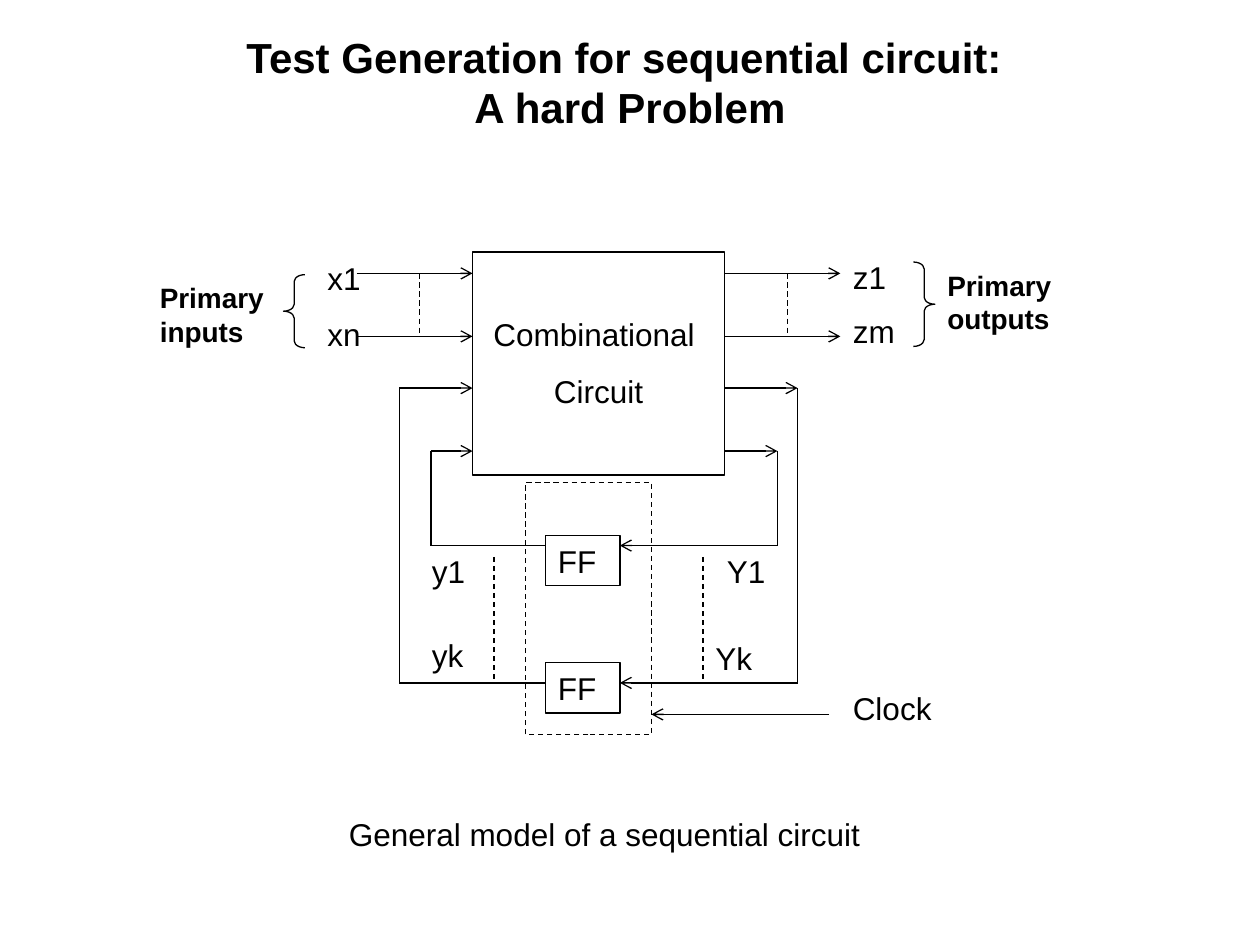
from dataclasses import dataclass

from lxml.etree import SubElement
from pptx import Presentation
from pptx.dml.color import RGBColor
from pptx.enum.dml import MSO_LINE
from pptx.enum.shapes import MSO_CONNECTOR, MSO_SHAPE
from pptx.enum.text import MSO_ANCHOR, MSO_AUTO_SIZE, PP_ALIGN
from pptx.oxml.ns import qn
from pptx.util import Inches, Pt

COLORS = {"ink": "000000"}
INK = RGBColor.from_string(COLORS["ink"])
BODY = {"name": "Arial", "size": Pt(18), "bold": False}
GROUP = {"name": "Arial", "size": Pt(16), "bold": True}
TITLE = {"name": "Arial", "size": Pt(24), "bold": True}
FRAME = {"word_wrap": True, "auto_size": MSO_AUTO_SIZE.NONE, "vertical_anchor": MSO_ANCHOR.TOP}

CIRCUIT_LEFT, CIRCUIT_RIGHT = 3.75, 5.75
FF_LEFT, FF_RIGHT = 4.33, 4.92
PORT_YS = (2.17, 2.67)


@dataclass
class Box:
    left: float
    top: float
    width: float
    height: float

    def emu(self) -> tuple:
        return tuple(Inches(v) for v in (self.left, self.top, self.width, self.height))


@dataclass
class Label:
    text: str
    box: Box
    fmt: dict


@dataclass
class Loop:
    left: float
    right: float
    port_y: float
    ff_y: float


LABELS = [
    Label("General model of a sequential circuit", Box(2.67, 6.42, 4.58, 0.4), BODY),
    Label("Clock", Box(6.67, 5.42, 1.5, 0.4), BODY),
    Label("x1", Box(2.5, 2.01, 0.5, 0.4), BODY),
    Label("xn", Box(2.5, 2.45, 0.5, 0.4), BODY),
    Label("z1", Box(6.67, 2, 0.5, 0.4), BODY),
    Label("zm", Box(6.67, 2.43, 0.75, 0.4), BODY),
    Label("Y1", Box(5.67, 4.33, 0.75, 0.4), BODY),
    Label("Yk", Box(5.58, 5.02, 0.5, 0.4), BODY),
    Label("y1", Box(3.33, 4.33, 0.75, 0.4), BODY),
    Label("yk", Box(3.33, 5, 0.5, 0.4), BODY),
    Label("Primary inputs", Box(1.17, 2.18, 1.17, 0.64), GROUP),
    Label("Primary outputs", Box(7.42, 2.08, 1.17, 0.64), GROUP),
]
LOOPS = [Loop(3.17, 6.33, 3.08, 5.42), Loop(3.42, 6.17, 3.58, 4.33)]


def write(tf, lines: list, fmt: dict, align=PP_ALIGN.LEFT, gap: float = 0) -> None:
    for name, value in FRAME.items():
        setattr(tf, name, value)
    for i, line in enumerate(lines):
        p = tf.paragraphs[0] if i == 0 else tf.add_paragraph()
        p.text = line
        p.alignment = align
        p.space_before = Pt(gap if i else 0)
        for r in p.runs:
            r.font.color.rgb = INK
            for name, value in fmt.items():
                setattr(r.font, name, value)


def style_line(ln, dashed: bool = False) -> None:
    ln.width = Pt(0.75)
    ln.color.rgb = INK
    if dashed:
        ln.dash_style = MSO_LINE.DASH


def outline(s, kind, box: Box, dashed: bool = False):
    sp = s.shapes.add_shape(kind, *box.emu())
    sp.shadow.inherit = False
    sp.fill.background()
    style_line(sp.line, dashed)
    return sp


def wire(s, x1: float, y1: float, x2: float, y2: float, arrow: bool = False, dashed: bool = False) -> None:
    ends = (Inches(v) for v in (x1, y1, x2, y2))
    sp = s.shapes.add_connector(MSO_CONNECTOR.STRAIGHT, *ends)
    style_line(sp.line, dashed)
    if arrow:
        SubElement(sp.line._get_or_add_ln(), qn("a:tailEnd"), type="arrow")
    SubElement(sp._element.spPr, qn("a:effectLst"))


def draw_loop(s, loop: Loop) -> None:
    wire(s, CIRCUIT_RIGHT, loop.port_y, loop.right, loop.port_y, arrow=True)
    wire(s, loop.right, loop.port_y, loop.right, loop.ff_y)
    wire(s, loop.right, loop.ff_y, FF_RIGHT, loop.ff_y, arrow=True)
    wire(s, FF_LEFT, loop.ff_y, loop.left, loop.ff_y)
    wire(s, loop.left, loop.port_y, loop.left, loop.ff_y)
    wire(s, loop.left, loop.port_y, CIRCUIT_LEFT, loop.port_y, arrow=True)


def main() -> None:
    prs = Presentation()
    prs.slide_width, prs.slide_height = Inches(10), Inches(7.5)
    s = prs.slides.add_slide(prs.slide_layouts[5])

    title = s.shapes.title
    title.left, title.top, title.width, title.height = Box(0.5, 0.3, 9, 0.7).emu()
    write(title.text_frame, ["Test Generation for sequential circuit: \vA hard Problem"], TITLE, PP_ALIGN.CENTER)
    title.text_frame.vertical_anchor = MSO_ANCHOR.MIDDLE

    circuit = outline(s, MSO_SHAPE.RECTANGLE, Box(CIRCUIT_LEFT, 2, CIRCUIT_RIGHT - CIRCUIT_LEFT, 1.77))
    write(circuit.text_frame, ["Combinational ", "Circuit"], BODY, PP_ALIGN.CENTER, gap=11.2)
    circuit.text_frame.margin_top = Inches(0.5)

    for y in PORT_YS:
        wire(s, 2.83, y, CIRCUIT_LEFT, y, arrow=True)
        wire(s, CIRCUIT_RIGHT, y, 6.67, y, arrow=True)
    for x in (3.33, 6.25):
        wire(s, x, PORT_YS[0], x, PORT_YS[1], dashed=True)
    for x in (3.92, 5.58):
        wire(s, x, 4.42, x, 5.42, dashed=True)

    for loop in LOOPS:
        draw_loop(s, loop)
    for top in (4.25, 5.26):
        ff = outline(s, MSO_SHAPE.RECTANGLE, Box(FF_LEFT, top, FF_RIGHT - FF_LEFT, 0.4))
        write(ff.text_frame, ["FF"], BODY)

    outline(s, MSO_SHAPE.RECTANGLE, Box(4.17, 3.83, 1, 2), dashed=True)
    wire(s, 6.58, 5.67, 5.17, 5.67, arrow=True)

    for kind, box in (
        (MSO_SHAPE.LEFT_BRACE, Box(2.25, 2.18, 0.17, 0.58)),
        (MSO_SHAPE.RIGHT_BRACE, Box(7.25, 2.08, 0.17, 0.67)),
    ):
        brace = outline(s, kind, box)
        brace.adjustments[0] = 0.32

    for label in LABELS:
        tb = s.shapes.add_textbox(*label.box.emu())
        write(tb.text_frame, [label.text], label.fmt)

    prs.save("out.pptx")


if __name__ == "__main__":
    main()
